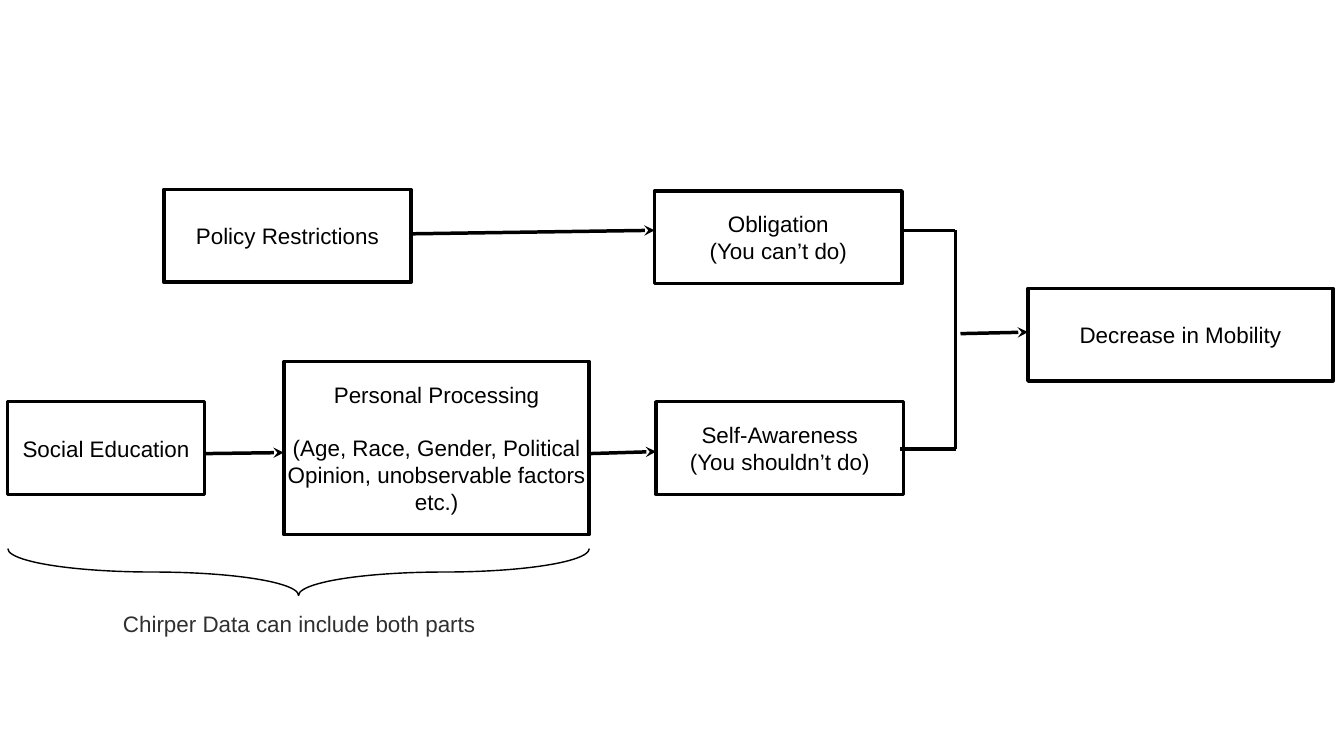
from lxml import etree
from pptx import Presentation
from pptx.dml import color
from pptx.enum import shapes, text
from pptx.oxml import ns
from pptx.util import Inches, Pt

BLACK, GREY = "000000", "2F2F2F"
RIGHT, LEFT = 3, 1


def rgb(value):
    return color.RGBColor.from_string(value)


def write(shape, lines, ink):
    """Fill a shape with centred lines, given as (wording, space before)."""
    frame = shape.text_frame
    layout = {"word_wrap": True, "vertical_anchor": text.MSO_ANCHOR.MIDDLE}
    for side in ("left", "top", "right", "bottom"):
        layout[f"margin_{side}"] = Inches(0.06)
    for name, value in layout.items():
        setattr(frame, name, value)
    for index, (wording, gap) in enumerate(lines):
        para = frame.add_paragraph() if index else frame.paragraphs[0]
        para.alignment = text.PP_ALIGN.CENTER
        para.space_before = Pt(gap)
        span = para.add_run()
        span.text = wording
        for name, value in {"name": "Arial", "size": Pt(32)}.items():
            setattr(span.font, name, value)
        span.font.color.rgb = rgb(ink)


deck = Presentation()
deck.slide_width, deck.slide_height = Inches(26.67), Inches(15)
page = deck.slides.add_slide(deck.slide_layouts[6])

# Boxes: left, top, width, height, lines
box_rows = {
    "processing": (5.64, 7.17, 6.05, 3.44, [
        ("Personal Processing", 0),
        ("(Age, Race, Gender, Political Opinion, unobservable factors etc.)", 37)]),
    "obligation": (12.99, 3.79, 4.91, 1.84, [("Obligation", 0), ("(You can’t do)", 0)]),
    "mobility": (20.4, 5.72, 6.05, 1.84, [("Decrease in Mobility", 0)]),
    "awareness": (13.02, 7.97, 4.91, 1.84, [("Self-Awareness", 0), ("(You shouldn’t do)", 0)]),
    "education": (0.15, 7.97, 3.91, 1.84, [("Social Education", 0)]),
    "policy": (3.25, 3.76, 4.91, 1.84, [("Policy Restrictions", 0)]),
}
boxes = {}
for key, (*place, lines) in box_rows.items():
    box = page.shapes.add_shape(shapes.MSO_SHAPE.RECTANGLE, *map(Inches, place))
    box.shadow.inherit = False
    box.fill.background()
    box.line.color.rgb = rgb(BLACK)
    box.line.width = Pt(5)
    write(box, lines, BLACK)
    boxes[key] = box

# Lines: start, end, box at start, box at end, arrowhead
line_rows = [
    ((19.06, 6.62), (20.4, 6.59), None, "mobility", True),
    ((17.86, 4.57), (18.96, 4.57), "obligation", None, False),
    ((17.86, 8.91), (18.98, 8.91), "awareness", None, False),
    ((18.96, 8.91), (18.96, 4.57), None, None, False),
    ((8.12, 4.64), (12.99, 4.57), "policy", "obligation", True),
    ((11.69, 9), (13.02, 8.96), "processing", "awareness", True),
    ((4.07, 9), (5.63, 8.98), "education", "processing", True),
]
for start, end, source, target, arrow in line_rows:
    line = page.shapes.add_connector(
        shapes.MSO_CONNECTOR.STRAIGHT, *map(Inches, start + end))
    if source:
        line.begin_connect(boxes[source], RIGHT)
    if target:
        line.end_connect(boxes[target], LEFT)
    # Joining moves an end to the exact middle; keep the slightly offset ends
    line.begin_x, line.begin_y = map(Inches, start)
    line.end_x, line.end_y = map(Inches, end)
    line.line.color.rgb = rgb(BLACK)
    line.line.width = Pt(5)
    if arrow:
        etree.SubElement(line.line._get_or_add_ln(), ns.qn("a:tailEnd"), type="stealth")
    etree.SubElement(line._element.spPr, ns.qn("a:effectLst"))

brace = page.shapes.add_shape(
    shapes.MSO_SHAPE.RIGHT_BRACE, *map(Inches, (5.46, 5.58, 0.93, 11.54)))
brace.rotation = 90
brace.adjustments[0], brace.adjustments[1] = 3.77, 0.5
brace.shadow.inherit = False
brace.fill.background()
brace.line.color.rgb = rgb(BLACK)
brace.line.width = Pt(2)

caption = page.shapes.add_textbox(*map(Inches, (2.16, 12.05, 7.56, 0.65)))
write(caption, [("Chirper Data can include both parts", 0)], GREY)
caption.text_frame.auto_size = text.MSO_AUTO_SIZE.SHAPE_TO_FIT_TEXT

deck.save("out.pptx")
